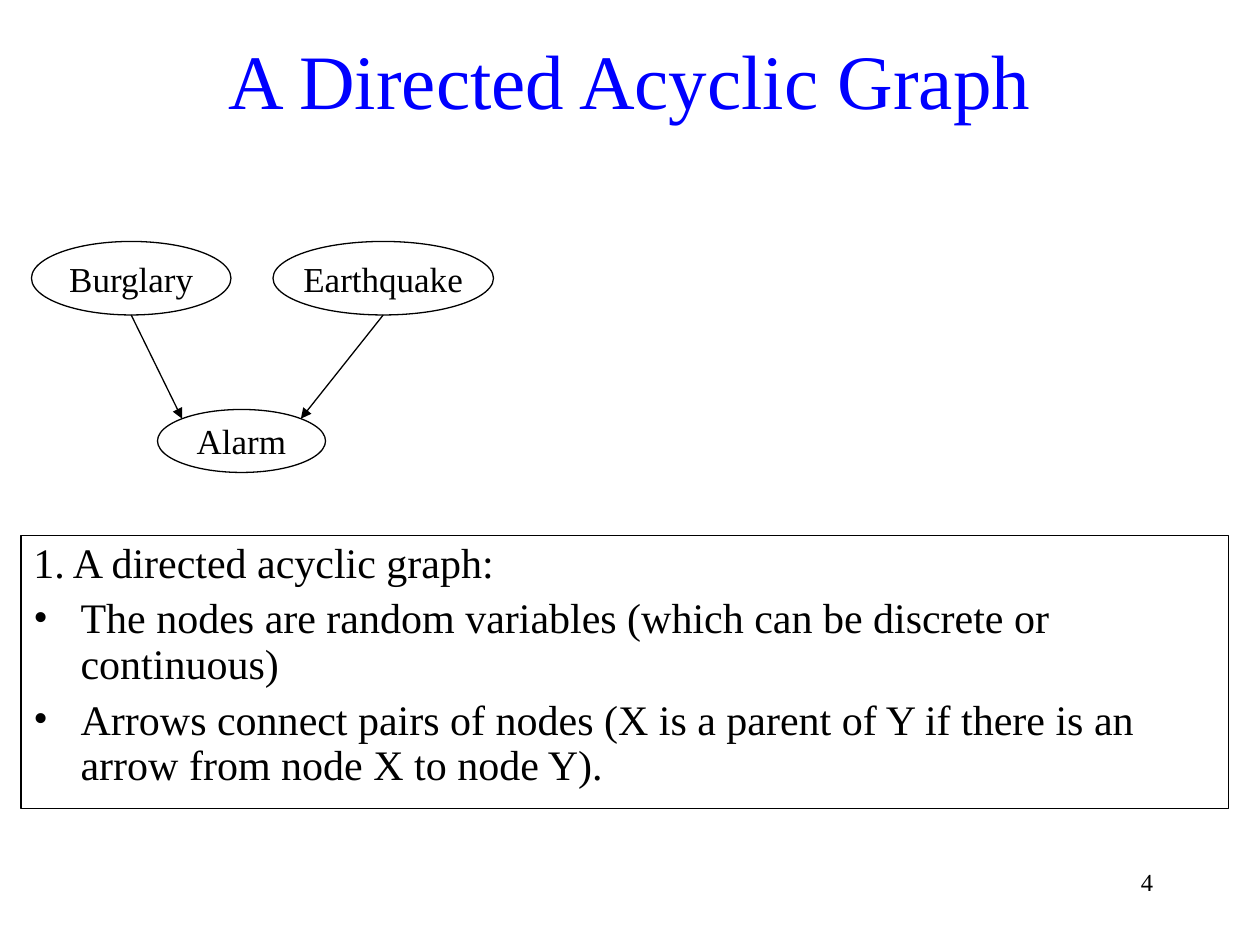
import math
from dataclasses import dataclass

import pptx
import pptx.dml.color
import pptx.enum.shapes
import pptx.enum.text
import pptx.oxml
import pptx.oxml.ns
import pptx.util
from lxml import etree

Pt = pptx.util.Pt
RGB = pptx.dml.color.RGBColor
ALIGN = pptx.enum.text.PP_ALIGN
MIDDLE = pptx.enum.text.MSO_ANCHOR.MIDDLE
SHAPE = pptx.enum.shapes.MSO_SHAPE
STRAIGHT = pptx.enum.shapes.MSO_CONNECTOR.STRAIGHT
qn = pptx.oxml.ns.qn


@dataclass(frozen=True)
class Theme:
    font: str = "Times New Roman"
    ink: RGB = RGB(0, 0, 0)
    title_color: RGB = RGB(0, 0, 255)
    title_size: int = 44
    body_size: int = 24
    node_size: int = 20
    number_size: int = 14
    line_width: float = 0.75


THEME = Theme()

# Node: left, top, width, height
NODES = {
    "Alarm": (90, 234, 96, 36),
    "Burglary": (18, 138, 114, 42),
    "Earthquake": (156, 138, 126, 42),
}
# Parent, child, and the side of the child that the arrow meets (-1 left, 1 right)
EDGES = [("Burglary", "Alarm", -1), ("Earthquake", "Alarm", 1)]

HEADING = "1. A directed acyclic graph:"
POINTS = [
    "The nodes are random variables (which can be discrete or continuous)",
    "Arrows connect pairs of nodes (X is a parent of Y if there is an "
    "arrow from node X to node Y).",
]


def style(paragraph, size, color=THEME.ink, align=ALIGN.LEFT):
    paragraph.alignment = align
    paragraph.font.name = THEME.font
    paragraph.font.size = Pt(size)
    paragraph.font.color.rgb = color


def add_label(slide, text, box, size, color, align, anchor=None):
    frame = slide.shapes.add_textbox(*map(Pt, box)).text_frame
    frame.word_wrap = True
    frame.vertical_anchor = anchor
    frame.text = text
    style(frame.paragraphs[0], size, color, align)


def add_outline(slide, preset, box):
    """Add an unfilled shape with the theme's thin line."""
    shape = slide.shapes.add_shape(preset, *map(Pt, box))
    shape.shadow.inherit = False
    shape.fill.background()
    shape.line.color.rgb = THEME.ink
    shape.line.width = Pt(THEME.line_width)
    return shape


def add_node(slide, name):
    frame = add_outline(slide, SHAPE.OVAL, NODES[name]).text_frame
    frame.word_wrap = False
    frame.vertical_anchor = MIDDLE
    frame.text = name
    style(frame.paragraphs[0], THEME.node_size, align=ALIGN.CENTER)


def add_edge(slide, parent, child, side):
    """Draw an arrow from the parent's bottom to the child's upper diagonal."""
    left, top, width, height = NODES[parent]
    start = (left + width / 2, top + height)
    left, top, width, height = NODES[child]
    diagonal = math.sqrt(0.5)
    end = (left + width / 2 * (1 + side * diagonal),
           top + height / 2 * (1 - diagonal))
    arrow = slide.shapes.add_connector(STRAIGHT, *map(Pt, start + end))
    arrow.line.color.rgb = THEME.ink
    arrow.line.width = Pt(THEME.line_width)
    etree.SubElement(arrow.line._get_or_add_ln(), qn("a:tailEnd"), type="triangle")
    etree.SubElement(arrow._element.spPr, qn("a:effectLst"))


def hang(paragraph, indent, bullet=None):
    properties = paragraph._p.get_or_add_pPr()
    properties.set("marL", str(Pt(indent)))
    properties.set("indent", str(-Pt(indent)))
    if bullet:
        etree.SubElement(properties, qn("a:buFont"), typeface=THEME.font)
        etree.SubElement(properties, qn("a:buChar"), char=bullet)


def add_definition(slide, box):
    frame = add_outline(slide, SHAPE.RECTANGLE, box).text_frame
    frame.word_wrap = True
    frame.vertical_anchor = pptx.enum.text.MSO_ANCHOR.TOP
    frame.text = "\n".join([HEADING, *POINTS])
    for index, paragraph in enumerate(frame.paragraphs):
        hang(paragraph, 27, "•" if index else None)
        paragraph.line_spacing = 0.9
        paragraph.space_before = Pt(6 if index else 0)
        style(paragraph, THEME.body_size)


def main():
    deck = pptx.Presentation()
    deck.slide_width, deck.slide_height = Pt(720), Pt(540)
    slide = deck.slides.add_slide(deck.slide_layouts[6])

    add_label(slide, "4", (588, 492, 78, 36), THEME.number_size,
              THEME.ink, ALIGN.RIGHT)
    add_label(slide, "A Directed Acyclic Graph", (54, 12, 612, 66),
              THEME.title_size, THEME.title_color, ALIGN.CENTER, MIDDLE)
    add_definition(slide, (12, 306, 690, 156))
    for name in NODES:
        add_node(slide, name)
    for edge in EDGES:
        add_edge(slide, *edge)

    deck.save("out.pptx")


if __name__ == "__main__":
    main()
